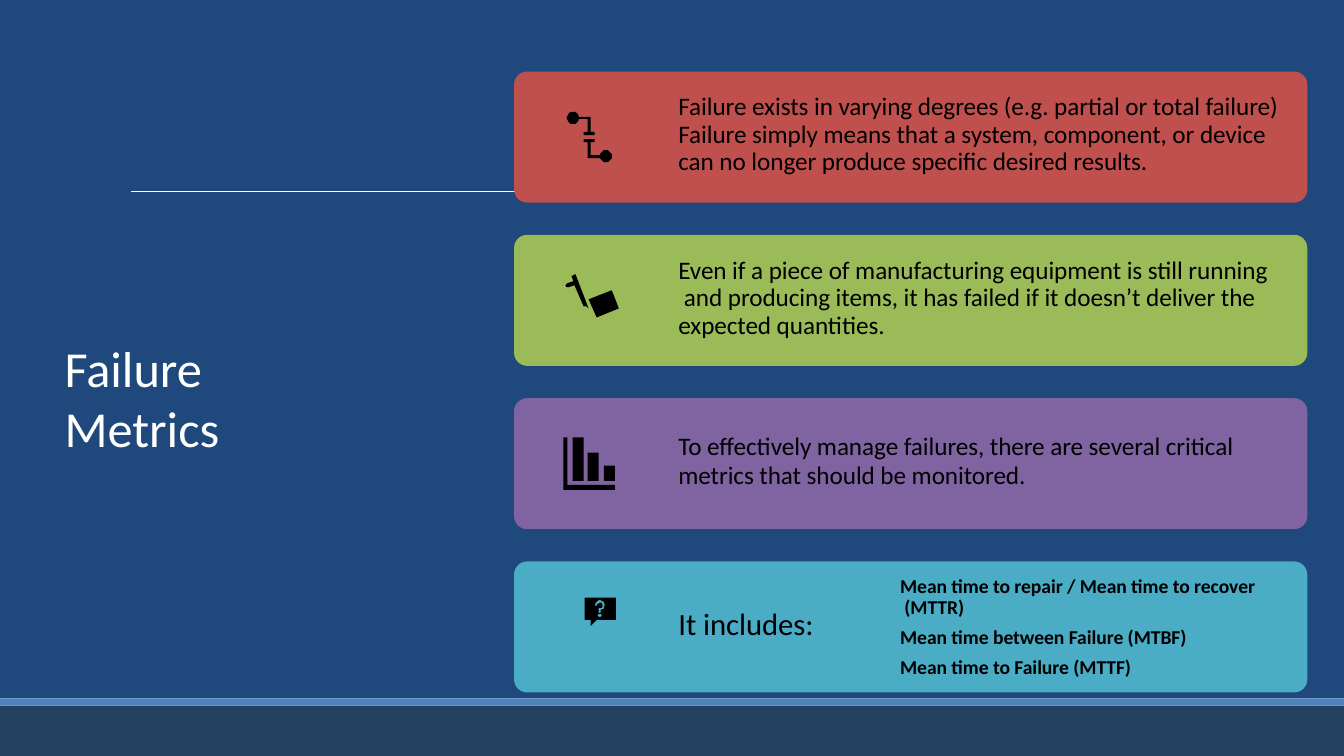
from math import cos, pi, sin
from pptx import Presentation
from pptx.dml.color import RGBColor
from pptx.enum.shapes import MSO_CONNECTOR, MSO_SHAPE
from pptx.enum.text import MSO_ANCHOR, MSO_AUTO_SIZE, PP_ALIGN
from pptx.util import Pt
from lxml.etree import SubElement
from pptx.oxml.ns import qn

PX = 9144
WIDTH, HEIGHT = 1333, 750
FONT = "Calibri"
NAVY = RGBColor(0x1F, 0x48, 0x7C)
FOOTER = RGBColor(0x24, 0x40, 0x60)
STRIP = RGBColor(0x4F, 0x81, 0xBC)
WHITE = RGBColor(0xFF, 0xFF, 0xFF)
BLACK = RGBColor(0x00, 0x00, 0x00)
RED = RGBColor(0xC0, 0x50, 0x4D)
GREEN = RGBColor(0x9B, 0xBA, 0x58)
PURPLE = RGBColor(0x80, 0x63, 0xA1)
TEAL = RGBColor(0x4A, 0xAC, 0xC5)

CARD_LEFT, CARD_TOP, CARD_WIDTH, CARD_HEIGHT, CARD_STEP = 510, 71, 787, 130, 162
TEXT_LEFT = 673


def write_text(frame, text, size=18, color=BLACK, bold=False, tracking=-5,
               line_spacing=None, space_before=0):
    frame.margin_left = frame.margin_top = frame.margin_right = frame.margin_bottom = 0
    frame.vertical_anchor = MSO_ANCHOR.TOP
    frame.auto_size = MSO_AUTO_SIZE.NONE
    frame.word_wrap = False
    frame.text = text
    for index, paragraph in enumerate(frame.paragraphs):
        paragraph.alignment = PP_ALIGN.LEFT
        paragraph.space_before = Pt(space_before if index else 0)
        if line_spacing:
            paragraph.line_spacing = line_spacing
        for run in paragraph.runs:
            run.font.name = FONT
            run.font.size = Pt(size)
            run.font.bold = bold
            run.font.color.rgb = color
            run._r.get_or_add_rPr().set("spc", str(tracking))


def box_points(left, top, width, height):
    right, bottom = left + width, top + height
    return [(left, top), (right, top), (right, bottom), (left, bottom)]


def circle_points(center_x, center_y, radius, count=16):
    angles = [2 * pi * step / count for step in range(count)]
    return [(center_x + radius * cos(angle), center_y + radius * sin(angle)) for angle in angles]


class SlideBuilder:
    def __init__(self, presentation):
        self.slide = presentation.slides.add_slide(presentation.slide_layouts[5])
        self.shapes = self.slide.shapes

    def paint(self, shape, color):
        shape.shadow.inherit = False
        shape.fill.solid()
        shape.fill.fore_color.rgb = color
        shape.line.fill.background()

    def rectangle(self, box, color):
        shape = self.shapes.add_shape(MSO_SHAPE.RECTANGLE, *(value * PX for value in box))
        self.paint(shape, color)

    def rounded(self, box, color, radius):
        shape = self.shapes.add_shape(MSO_SHAPE.ROUNDED_RECTANGLE, *(value * PX for value in box))
        self.paint(shape, color)
        shape.adjustments[0] = radius / min(box[2:])

    def icon(self, contours):
        builder = self.shapes.build_freeform(*contours[0][0], scale=PX)
        for index, points in enumerate(contours):
            if index:
                builder.move_to(*points[0])
            builder.add_line_segments(points[1:], close=True)
        self.paint(builder.convert_to_shape(), BLACK)

    def rule(self, left, right, top, color, weight):
        line = self.shapes.add_connector(
            MSO_CONNECTOR.STRAIGHT, left * PX, top * PX, right * PX, top * PX)
        line.line.color.rgb = color
        line.line.width = Pt(weight)
        SubElement(line._element.spPr, qn("a:effectLst"))

    def title(self, box, text, **style):
        title = self.shapes.title
        title.left, title.top, title.width, title.height = (value * PX for value in box)
        write_text(title.text_frame, text, **style)
        title.element.getparent().append(title.element)

    def text(self, box, text, **style):
        shape = self.shapes.add_textbox(*(value * PX for value in box))
        write_text(shape.text_frame, text, **style)


CIRCUIT = [
    circle_points(568.5, 117, 6),
    circle_points(601, 155, 6),
    [(574, 116), (574, 118), (583, 118), (583, 131), (579, 131), (579, 134),
     (590, 134), (590, 131), (586, 131), (586, 116)],
    [(595, 157), (583, 157), (583, 141), (579, 141), (579, 138),
     (590, 138), (590, 141), (586, 141), (586, 154), (595, 154)],
]
TROLLEY = [
    [(584, 306), (571, 272), (567, 274), (569, 279), (563, 281), (561, 283),
     (562, 285), (564, 285), (570, 283), (579, 304), (582, 304)],
    [(614, 306), (607, 288), (584, 297), (592, 315)],
]
BARS = [
    [(559, 434), (563, 434), (563, 481), (610, 481), (610, 486), (559, 486)],
    *(box_points(left, top, 11, 477 - top) for left, top in ((568, 434), (583, 449), (599, 462))),
]
QUESTION = [
    box_points(580, 593, 31, 22),
    [(586, 615), (592, 615), (586, 621)],
    [(590, 601), (591, 598), (593, 596), (595, 595), (597, 596), (599, 597),
     (600, 600), (599, 604), (596, 605), (596, 608), (594, 608), (594, 603),
     (597, 603), (598, 601), (597, 598), (595, 598), (592, 600), (592, 601)],
    circle_points(595, 610.5, 1.75),
]

CARDS = [
    (RED, CIRCUIT, 93,
     "Failure exists in varying degrees (e.g. partial or total failure)\v"
     "Failure simply means that a system, component, or device\v"
     "can no longer produce specific desired results.", dict(line_spacing=0.91)),
    (GREEN, TROLLEY, 255,
     "Even if a piece of manufacturing equipment is still running\v"
     " and producing items, it has failed if it doesn’t deliver the\v"
     "expected quantities.", dict(line_spacing=0.915)),
    (PURPLE, BARS, 428,
     "To effectively manage failures, there are several critical\n"
     "metrics that should be monitored.", dict(line_spacing=Pt(20.6))),
    (TEAL, QUESTION, 600, "It includes:", dict(size=22)),
]
METRICS = [
    (571, 42, "Mean time to repair / Mean time to recover\v (MTTR)", Pt(15.4)),
    (620, 60, "Mean time between Failure (MTBF)\nMean time to Failure (MTTF)", None),
]


def main():
    presentation = Presentation()
    presentation.slide_width, presentation.slide_height = 12192000, 6858000
    page = SlideBuilder(presentation)
    page.rectangle((0, 0, WIDTH + 1, 693), NAVY)
    page.rectangle((0, 700, WIDTH + 1, HEIGHT - 700), FOOTER)
    page.rectangle((0, 693, WIDTH + 1, 7), STRIP)
    page.rule(130, 1220, 190, WHITE, 0.5)
    page.title((64, 334, 291, 125), "Failure\vMetrics", size=36, color=WHITE, tracking=0)

    for index, (color, contours, text_top, text, style) in enumerate(CARDS):
        card_top = CARD_TOP + index * CARD_STEP
        page.rounded((CARD_LEFT, card_top, CARD_WIDTH, CARD_HEIGHT), color, 13)
        page.icon(contours)
        page.text((TEXT_LEFT, text_top, 602, 84), text, **style)

    for top, height, text, spacing in METRICS:
        page.text((893, top, 357, height), text, size=14, bold=True,
                  line_spacing=spacing, space_before=4.6)
    presentation.save("out.pptx")


if __name__ == "__main__":
    main()
